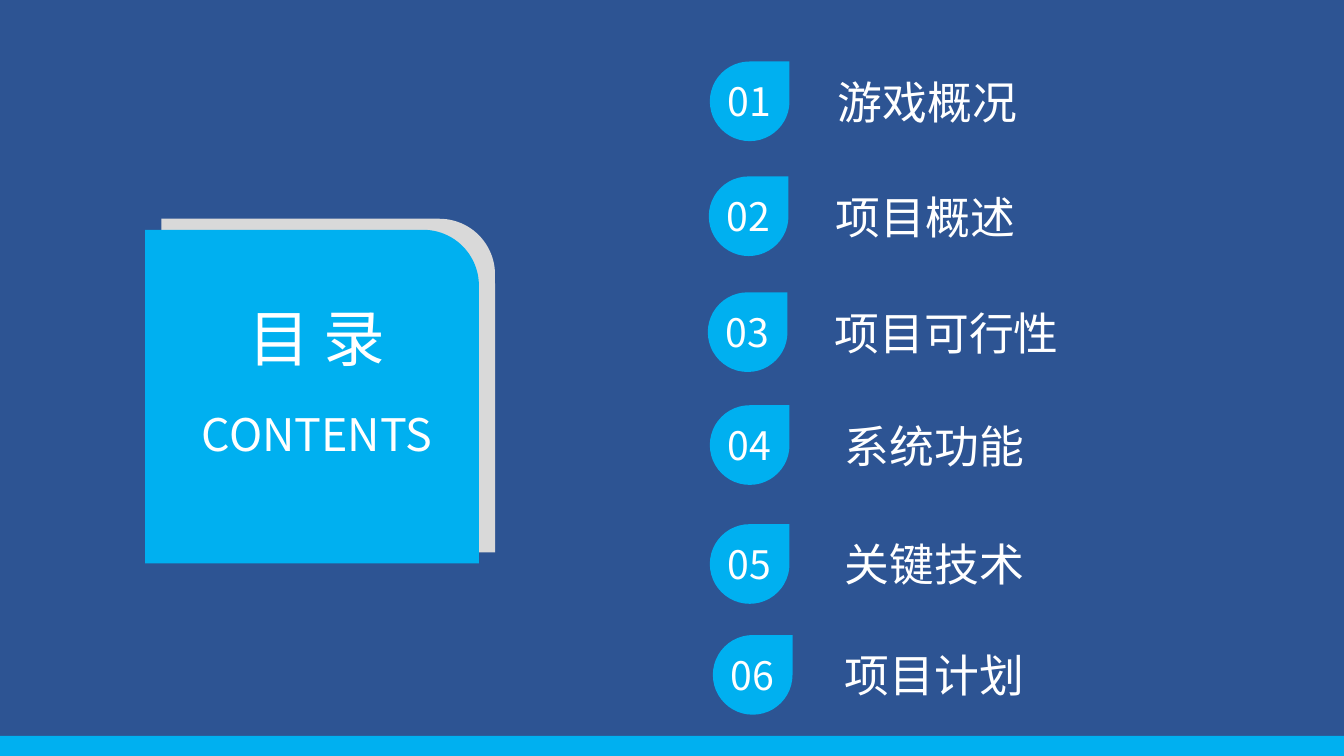
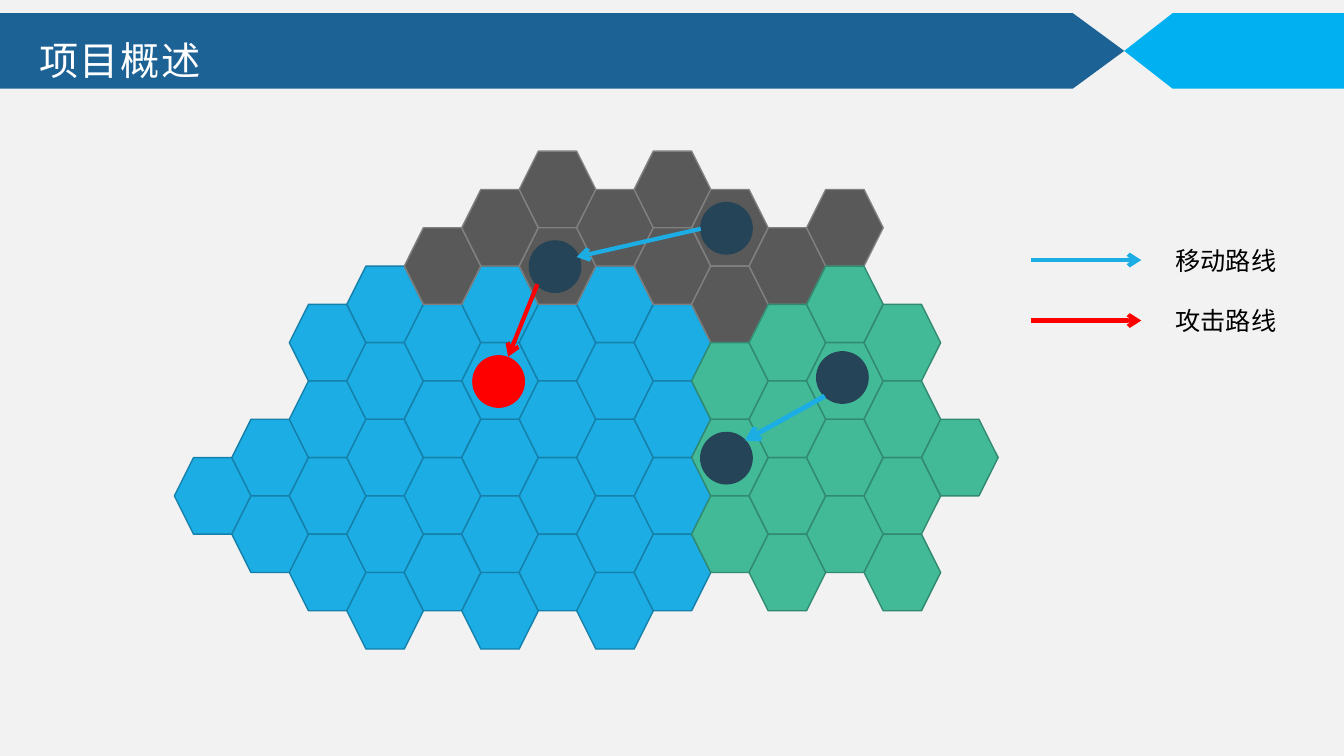
"""Build a contents slide and a hexagon map slide."""
from lxml.etree import SubElement
from pptx import Presentation
from pptx.dml.color import RGBColor
from pptx.enum.shapes import MSO_CONNECTOR, MSO_SHAPE
from pptx.enum.text import MSO_ANCHOR, MSO_AUTO_SIZE, PP_ALIGN
from pptx.oxml.ns import qn
from pptx.util import Inches, Pt

COLORS = {
    "navy": "2D5493", "accent": "00B0F0", "shade": "D9D9D9",
    "paper": "F2F2F2", "band": "1D6295", "white": "FFFFFF",
    "black": "000000", "unit": "264457", "red": "FF0000",
    "water": "1CADE4", "water edge": "1580A9",
    "rock": "595959", "rock edge": "808080",
    "grass": "42BA97", "grass edge": "318A70",
}
FONT = "Noto Sans CJK SC"

CONTENTS = [
    ("游戏概况", 7.04, 0.61, 8.21),
    ("项目概述", 7.03, 1.75, 8.19),
    ("项目可行性", 7.02, 2.90, 8.18),
    ("系统功能", 7.04, 4.02, 8.28),
    ("关键技术", 7.04, 5.20, 8.28),
    ("项目计划", 7.07, 6.30, 8.28),
]

LANDS = {"W": "water", "R": "rock", "G": "grass"}
MAP_COLUMNS = [
    (8, "W"), (7, "WW"), (4, "WWWW"), (3, "WWWWW"), (2, "RWWWW"),
    (1, "RWWWWW"), (0, "RRWWWW"), (1, "RWWWWW"), (0, "RRWWWW"),
    (1, "RRGGG"), (2, "RGGGG"), (1, "RGGGG"), (4, "GGGG"), (7, "G"),
]
MAP_LEFT, MAP_TOP = 1.73, 1.5
COLUMN_STEP, HALF_ROW, HEXAGON = 0.57, 0.38, 0.76
UNITS = [
    (8.10, 3.49, "unit"), (5.25, 2.39, "unit"), (4.69, 3.53, "red"),
    (6.95, 2.01, "unit"), (6.95, 4.29, "unit"),
]
ROUTES = [
    ((6.95, 2.27), (5.72, 2.55), "water", 3),
    ((8.18, 3.93), (7.39, 4.37), "water", 3.5),
    ((5.33, 2.82), (5.04, 3.54), "red", 3),
]
LEGEND = [("移动路线", 2.58, "water"), ("攻击路线", 3.18, "red")]


def color(name):
    return RGBColor.from_string(COLORS[name])


def add_page(deck, background):
    page = deck.slides.add_slide(deck.slide_layouts[6])
    page.background.fill.solid()
    page.background.fill.fore_color.rgb = color(background)
    return page


def add_block(page, kind, left, top, width, height, fill, edge=None):
    block = page.shapes.add_shape(
        kind, Inches(left), Inches(top), Inches(width), Inches(height))
    block.shadow.inherit = False
    block.fill.solid()
    block.fill.fore_color.rgb = color(fill)
    if edge:
        block.line.color.rgb = color(edge)
        block.line.width = Pt(1)
    else:
        block.line.fill.background()
    return block


def write(frame, text, size, align=PP_ALIGN.LEFT, ink="white", font=FONT, spacing=0):
    paragraph = frame.paragraphs[0]
    paragraph.text = text
    paragraph.alignment = align
    paragraph.font.size = Pt(size)
    paragraph.font.name = font
    paragraph.font.color.rgb = color(ink)
    properties = paragraph._p.get_or_add_pPr().get_or_add_defRPr()
    SubElement(properties, qn("a:ea")).set("typeface", FONT)
    if spacing:
        properties.set("spc", str(int(spacing * 100)))
    return paragraph


def add_label(page, left, top, width, height, text, size, wrap=True, **style):
    box = page.shapes.add_textbox(
        Inches(left), Inches(top), Inches(width), Inches(height))
    box.text_frame.word_wrap = wrap
    box.text_frame.auto_size = MSO_AUTO_SIZE.SHAPE_TO_FIT_TEXT
    return write(box.text_frame, text, size, **style)


def add_arrow(page, start, end, ink, weight):
    arrow = page.shapes.add_connector(
        MSO_CONNECTOR.STRAIGHT, *(Inches(value) for value in (*start, *end)))
    arrow.line.color.rgb = color(ink)
    arrow.line.width = Pt(weight)
    SubElement(arrow.line._get_or_add_ln(), qn("a:tailEnd")).set("type", "arrow")
    SubElement(arrow._element.spPr, qn("a:effectLst"))


def add_contents_entry(page, number, text, drop_left, drop_top, text_left):
    drop = add_block(page, MSO_SHAPE.TEAR, drop_left, drop_top, 0.79, 0.79, "accent")
    frame = drop.text_frame
    frame.margin_left = frame.margin_right = Inches(0.04)
    frame.margin_top = frame.margin_bottom = Inches(0.05)
    frame.vertical_anchor = MSO_ANCHOR.MIDDLE
    write(frame, f"{number:02}", 28, PP_ALIGN.CENTER)
    add_label(page, text_left, drop_top + 0.08, 3.6, 0.64, text, 32)


def add_title(page, text):
    bands = [(0, 11.15, "band", 0.68, 0), (11.15, 2.18, "accent", 0.64, 180)]
    for left, width, fill, point, turn in bands:
        band = add_block(page, MSO_SHAPE.PENTAGON, left, 0.13, width, 0.75, fill)
        band.adjustments[0] = point
        band.rotation = turn
    title = add_label(page, 0.29, 0.08, 1.82, 0.81, text, 28, wrap=False, spacing=1.2)
    title.line_spacing = 1.5


def add_land(page, symbol):
    land = LANDS[symbol]
    for column, (first, symbols) in enumerate(MAP_COLUMNS):
        for row, found in enumerate(symbols):
            if found == symbol:
                add_block(page, MSO_SHAPE.HEXAGON,
                          MAP_LEFT + column * COLUMN_STEP,
                          MAP_TOP + (first + 2 * row) * HALF_ROW,
                          HEXAGON, HEXAGON, land, f"{land} edge")


def build_contents(deck):
    page = add_page(deck, "navy")
    for left, top, fill in [(1.6, 2.17, "shade"), (1.44, 2.28, "accent")]:
        add_block(page, MSO_SHAPE.ROUND_1_RECTANGLE, left, top, 3.31, 3.31, fill)
    add_label(page, 1.53, 2.93, 3.22, 0.84, "目 录", 44, align=PP_ALIGN.CENTER)
    add_label(page, 1.11, 3.99, 4.07, 0.64, "CONTENTS", 32, align=PP_ALIGN.CENTER)
    for number, entry in enumerate(CONTENTS, 1):
        add_contents_entry(page, number, *entry)
    add_block(page, MSO_SHAPE.RECTANGLE, 0, 7.3, 13.33, 0.2, "accent")


def build_map(deck):
    page = add_page(deck, "paper")
    add_title(page, "项目概述")
    for symbol in LANDS:
        add_land(page, symbol)
    for left, top, fill in UNITS:
        add_block(page, MSO_SHAPE.OVAL, left, top, 0.51, 0.51, fill, fill)
    for route in ROUTES:
        add_arrow(page, *route)
    for text, middle, ink in LEGEND:
        add_arrow(page, (10.23, middle), (11.32, middle), ink, 3)
        add_label(page, 11.56, middle - 0.2, 1.57, 0.4, text, 18,
                  ink="black", font="Arial")


def main():
    deck = Presentation()
    deck.slide_width = Inches(13.33)
    deck.slide_height = Inches(7.5)
    build_contents(deck)
    build_map(deck)
    deck.save("out.pptx")


if __name__ == "__main__":
    main()
